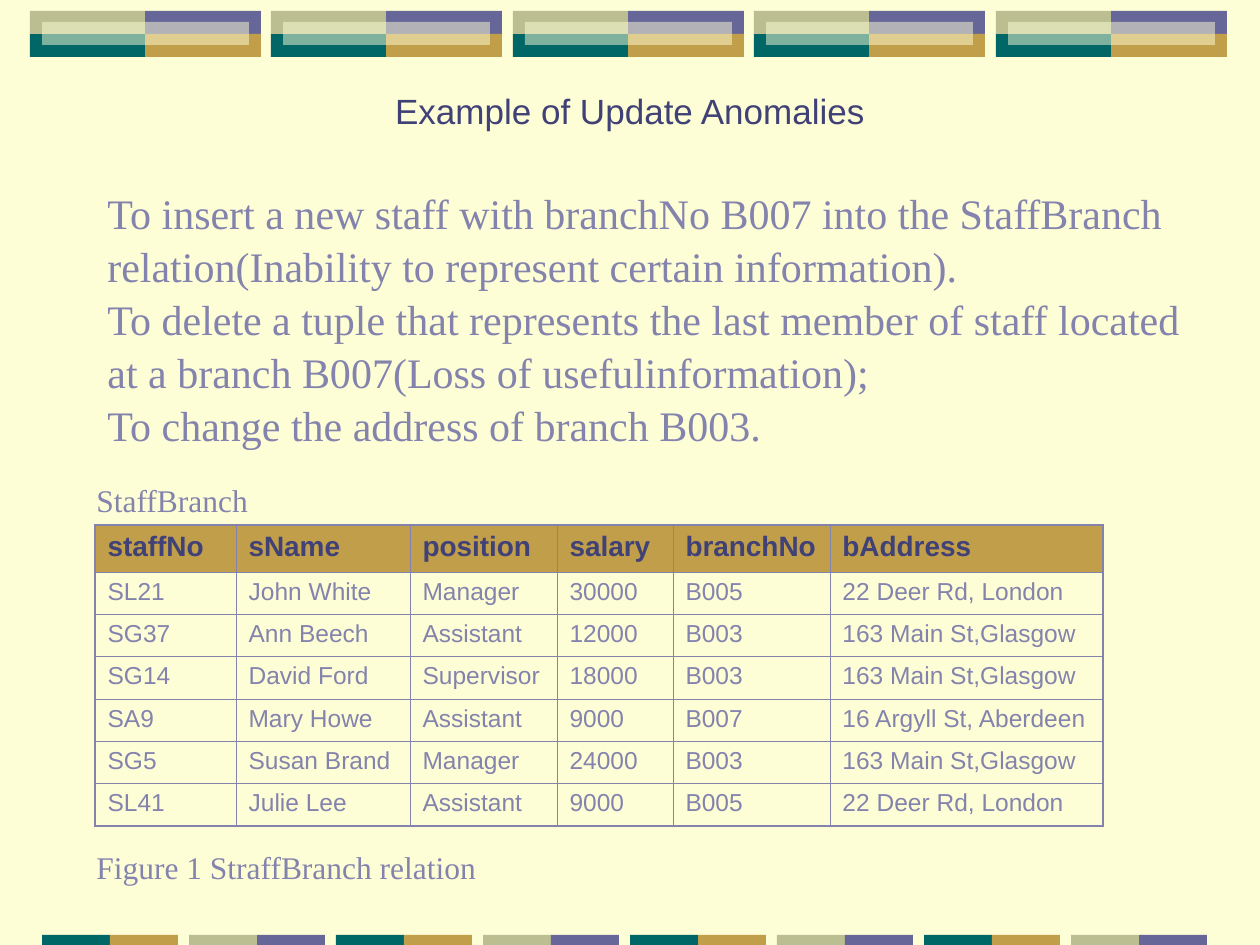
from pptx import Presentation
from pptx.dml.color import RGBColor
from pptx.enum.shapes import MSO_SHAPE
from pptx.enum.text import MSO_ANCHOR, PP_ALIGN
from pptx.oxml.ns import qn
from pptx.util import Pt
from lxml import etree

RECTANGLE = MSO_SHAPE.RECTANGLE
LEFT, CENTER = PP_ALIGN.LEFT, PP_ALIGN.CENTER
TOP, MIDDLE = MSO_ANCHOR.TOP, MSO_ANCHOR.MIDDLE

EMU_PER_INCH = 914400
PX_PER_INCH = 126
SANS, SERIF = "Arial", "Times New Roman"
THIN, THICK = 0.45, 1.08

COLORS = {
    "paper": "FEFED6",
    "violet": "666699",
    "gold": "C09E4A",
    "teal": "006666",
    "olive": "BABE90",
    "heading": "404176",
    "text": "8383AD",
}

PARAGRAPHS = [
    "To insert a new staff with branchNo B007 into the StaffBranch "
    "relation(Inability to represent certain information).",
    "To delete a tuple that represents the last member of staff located "
    "at a branch B007(Loss of usefulinformation);",
    "To change the address of branch B003.",
]

STAFF_ROWS = [
    ["staffNo", "sName", "position", "salary", "branchNo", "bAddress"],
    ["SL21", "John White", "Manager", "30000", "B005", "22 Deer Rd, London"],
    ["SG37", "Ann Beech", "Assistant", "12000", "B003", "163 Main St,Glasgow"],
    ["SG14", "David Ford", "Supervisor", "18000", "B003", "163 Main St,Glasgow"],
    ["SA9", "Mary Howe", "Assistant", "9000", "B007", "16 Argyll St, Aberdeen"],
    ["SG5", "Susan Brand", "Manager", "24000", "B003", "163 Main St,Glasgow"],
    ["SL41", "Julie Lee", "Assistant", "9000", "B005", "22 Deer Rd, London"],
]
COLUMN_WIDTHS = [141, 174, 147, 116, 157, 273]
ROW_HEIGHTS = [47, 42, 42, 43, 42, 42, 43]


def px(*lengths):
    return [round(length * EMU_PER_INCH / PX_PER_INCH) for length in lengths]


def rgb(name):
    return RGBColor.from_string(COLORS[name])


def write(text_frame, *texts, size, font=SANS, color="text", bold=False,
          align=LEFT, spacing=1.0):
    """Put each text in its own paragraph, all in one format."""
    for index, text in enumerate(texts):
        paragraph = text_frame.paragraphs[0] if index == 0 else text_frame.add_paragraph()
        paragraph.alignment = align
        paragraph.line_spacing = spacing
        run = paragraph.add_run()
        run.text = text
        run.font.name = font
        run.font.size = Pt(size)
        run.font.bold = bold
        run.font.color.rgb = rgb(color)


def add_border(cell, side, width):
    properties = cell._tc.get_or_add_tcPr()
    line = etree.SubElement(properties, qn(f"a:ln{side}"), w=str(Pt(width)))
    fill = etree.SubElement(line, qn("a:solidFill"))
    etree.SubElement(fill, qn("a:srgbClr"), val=COLORS["text"])


class SlideBuilder:
    def __init__(self, presentation):
        self.slide = presentation.slides.add_slide(presentation.slide_layouts[6])
        background = self.slide.background.fill
        background.solid()
        background.fore_color.rgb = rgb("paper")

    def bar(self, left, top, width, height, color, opacity=100):
        shape = self.slide.shapes.add_shape(RECTANGLE, *px(left, top, width, height))
        shape.shadow.inherit = False
        shape.line.fill.background()
        shape.fill.solid()
        shape.fill.fore_color.rgb = rgb(color)
        if opacity < 100:
            color_element = shape.fill._xPr.find(qn("a:solidFill"))[0]
            etree.SubElement(color_element, qn("a:alpha"), val=str(opacity * 1000))

    def text(self, left, top, width, height, *texts, wrap=True, anchor=TOP, **style):
        box = self.slide.shapes.add_textbox(*px(left, top, width, height))
        box.text_frame.word_wrap = wrap
        box.text_frame.vertical_anchor = anchor
        write(box.text_frame, *texts, **style)

    def table(self, left, top, rows, widths, heights):
        frame = self.slide.shapes.add_table(
            len(rows), len(widths), *px(left, top, sum(widths), sum(heights)))
        table = frame.table
        table.horz_banding = False
        for column, width in zip(table.columns, px(*widths)):
            column.width = width
        for row, height in zip(table.rows, px(*heights)):
            row.height = height
        last_row, last_column = len(rows) - 1, len(widths) - 1
        for i, values in enumerate(rows):
            for j, value in enumerate(values):
                cell = table.cell(i, j)
                edges = {"L": j == 0, "R": j == last_column,
                         "T": i == 0, "B": i == last_row}
                for side, is_outer in edges.items():
                    add_border(cell, side, THICK if is_outer else THIN)
                if i == 0:
                    cell.fill.solid()
                    cell.fill.fore_color.rgb = rgb("gold")
                    write(cell.text_frame, value, size=16, color="heading", bold=True)
                else:
                    cell.fill.background()
                    write(cell.text_frame, value, size=14)


def main():
    presentation = Presentation()
    presentation.slide_width, presentation.slide_height = px(1260, 945)
    builder = SlideBuilder(presentation)

    # Top band: five four-colour blocks with a pale overlay
    for block in range(5):
        left = 30 + block * 483 // 2
        builder.bar(left + 115, 11, 116, 23, "violet")
        builder.bar(left + 115, 34, 116, 23, "gold")
        builder.bar(left, 34, 115, 23, "teal")
        builder.bar(left, 11, 115, 23, "olive")
        builder.bar(left + 12, 22, 207, 23, "paper", opacity=50)

    # Bottom band: eight alternating colour pairs
    for pair in range(8):
        left = 42 + pair * 147
        colors = ("olive", "violet") if pair % 2 else ("teal", "gold")
        for half, color in enumerate(colors):
            builder.bar(left + half * 68, 935, 68, 10, color)

    # Title and body
    builder.text(95, 84, 1070, 53, "Example of Update Anomalies",
                 anchor=MIDDLE, size=20, color="heading", align=CENTER)
    builder.text(95, 179, 1102, 265, *PARAGRAPHS, size=24, font=SERIF, spacing=1.05)

    # Table with its name and caption
    builder.table(95, 525, STAFF_ROWS, COLUMN_WIDTHS, ROW_HEIGHTS)
    label_style = {"wrap": False, "size": 18, "font": SERIF, "spacing": 1.05}
    builder.text(84, 473, 178, 50, "StaffBranch", **label_style)
    builder.text(84, 840, 406, 50, "Figure 1 StraffBranch relation", **label_style)

    presentation.save("out.pptx")


if __name__ == "__main__":
    main()
